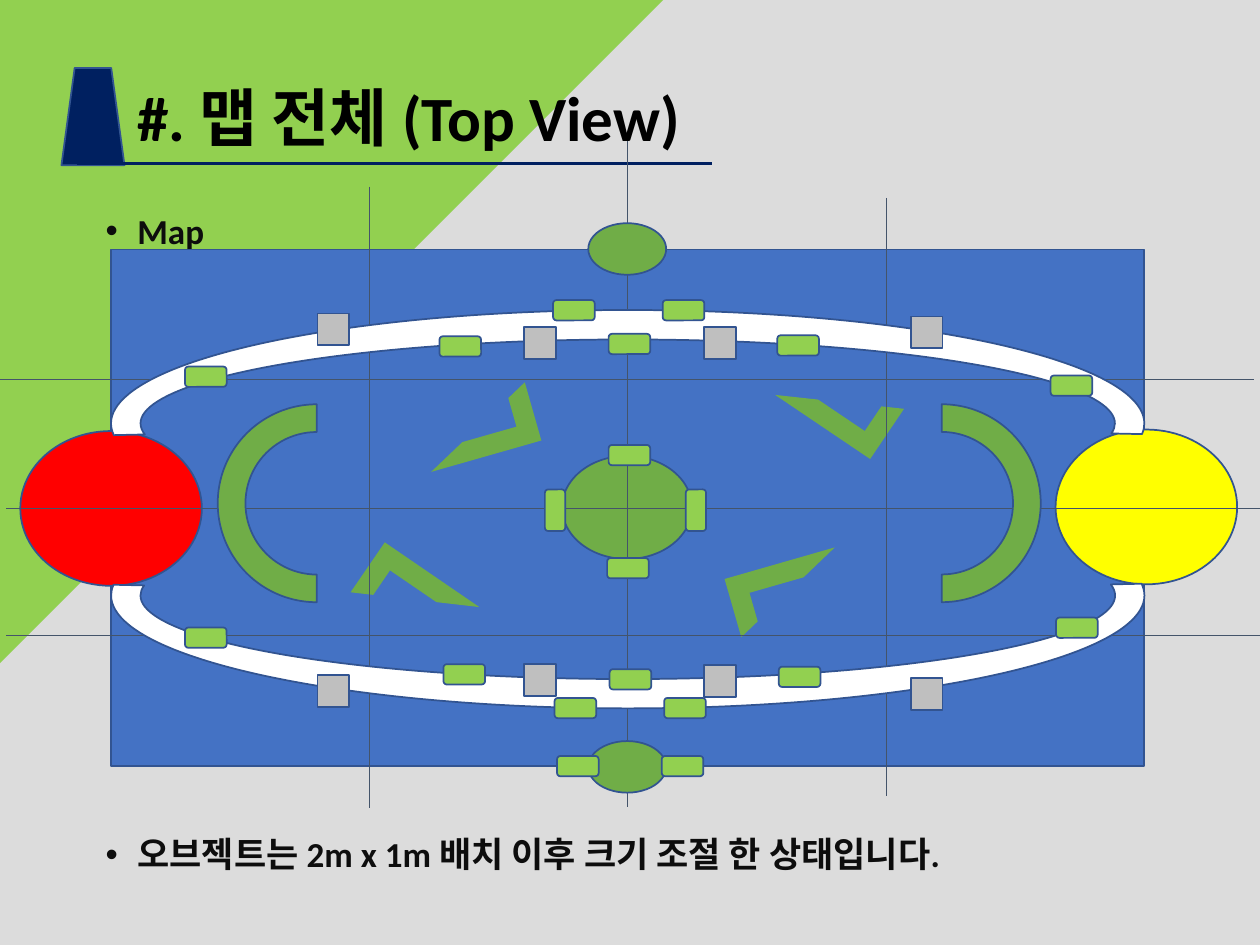
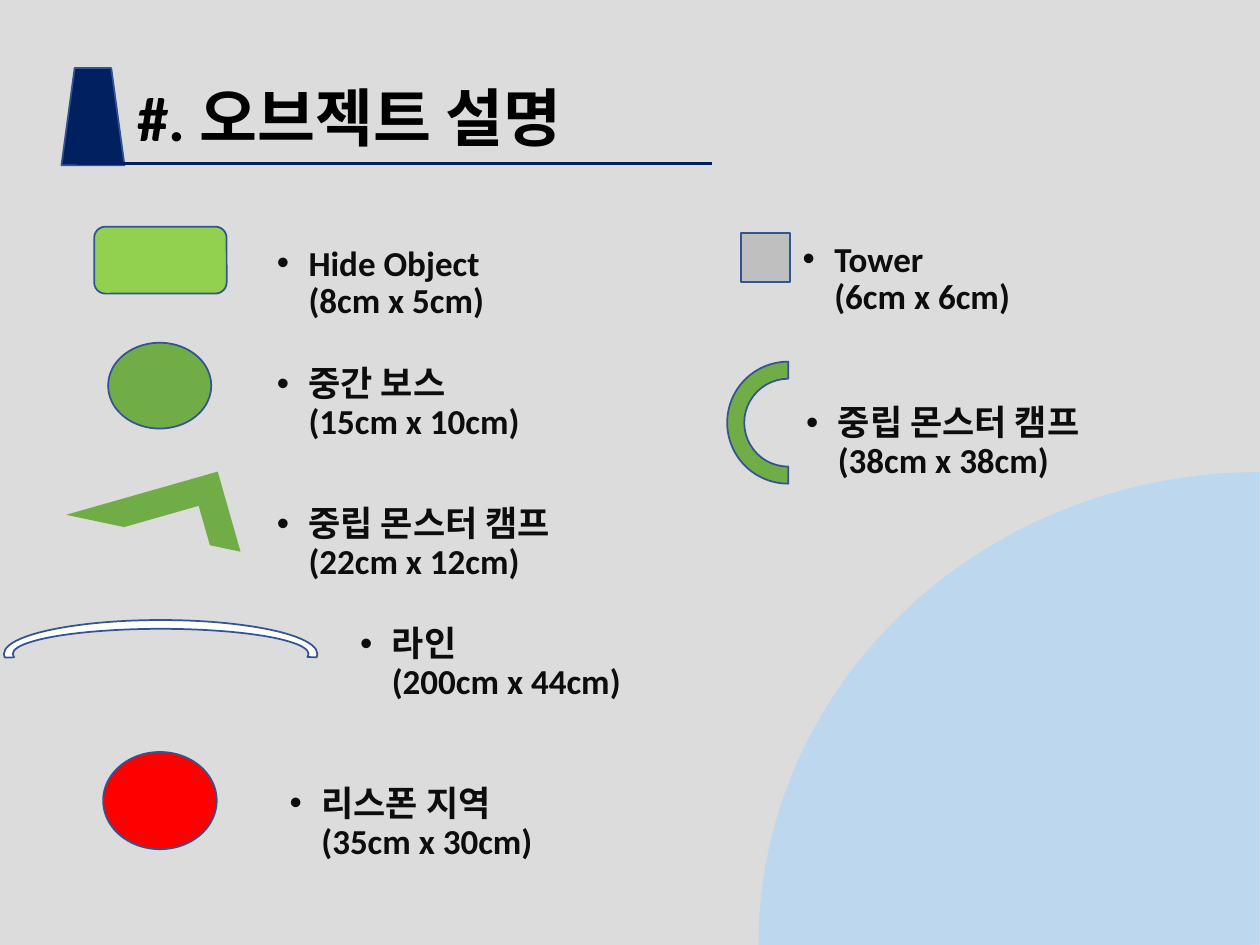
from lxml import etree
from pptx import Presentation
from pptx.dml.color import RGBColor
from pptx.enum import shapes, text
from pptx.oxml.ns import qn
from pptx.util import Cm, Pt

colour = RGBColor.from_string
KIND = shapes.MSO_SHAPE

NAVY = "002060"
OUTLINE = "325491"
GRID = "44546A"
LIME = "92D050"
GREEN = "70AD47"

# Each map object: preset, fill, outlined, adjustments (angles in 1/100000 units)
HIDE = (KIND.ROUNDED_RECTANGLE, LIME, True, ())
BOSS = (KIND.OVAL, GREEN, True, ())
CORNER_CAMP = (KIND.HALF_FRAME, GREEN, False, ())
ARC_CAMP = (KIND.BLOCK_ARC, GREEN, True, (108, 0, 0.14))
LANE = (KIND.BLOCK_ARC, "FFFFFF", True, (107.21, 0.72, 0.13))
TOWER = (KIND.RECTANGLE, "BFBFBF", True, ())
RED_BASE = (KIND.OVAL, "FF0000", True, ())
YELLOW_BASE = (KIND.OVAL, "FFFF00", True, ())
ARENA = (KIND.RECTANGLE, "4472C4", True, ())
MARKER = (KIND.TRAPEZOID, NAVY, True, (0.21,))
GREEN_CORNER = (KIND.ISOSCELES_TRIANGLE, LIME, False, ())
BLUE_CORNER = (KIND.PIE, "BDD7EE", False, (107.83, 162))


def draw(page, style, left, top, width, height, angle=0):
    """Add a shape in one of the object styles, lengths in centimetres."""
    kind, fill, outlined, adjustments = style
    shape = page.shapes.add_shape(kind, Cm(left), Cm(top), Cm(width), Cm(height))
    shape.rotation = angle
    shape.shadow.inherit = False
    shape.fill.solid()
    shape.fill.fore_color.rgb = colour(fill)
    if outlined:
        shape.line.color.rgb = colour(OUTLINE)
        shape.line.width = Pt(1)
    else:
        shape.line.fill.background()
    for index, value in enumerate(adjustments):
        shape.adjustments[index] = value
    return shape


def draw_line(page, x1, y1, x2, y2, stroke, weight):
    line = page.shapes.add_connector(
        shapes.MSO_CONNECTOR.STRAIGHT, Cm(x1), Cm(y1), Cm(x2), Cm(y2))
    line.line.color.rgb = colour(stroke)
    line.line.width = Pt(weight)
    etree.SubElement(line.element.spPr, qn("a:effectLst"))


deck = Presentation()
deck.slide_width = Cm(25.4)
deck.slide_height = Cm(19.05)

# Shared frame: background, corner, title with marker and underline
pages = []
for heading, corner, place in (
    ("#. 맵 전체 (Top View)", GREEN_CORNER, (-6.2, -1.42, 19, 9.52, 315)),
    ("#. 오브젝트 설명", BLUE_CORNER, (15.29, 9.52, 20.19, 19.05)),
):
    page = deck.slides.add_slide(deck.slide_layouts[5])
    pages.append(page)
    page.background.fill.solid()
    page.background.fill.fore_color.rgb = colour("DCDCDC")
    draw(page, corner, *place)
    draw(page, MARKER, 1.24, 1.37, 1.27, 1.96)
    draw_line(page, 1.55, 3.3, 14.35, 3.3, NAVY, 2)

    title = page.shapes.title
    title.element.getparent().append(title.element)  # in front of the corner
    title.left, title.top = Cm(2.51), Cm(1.45)
    title.width, title.height = Cm(21.13), Cm(1.8)
    frame = title.text_frame
    frame.text = heading
    frame.auto_size = text.MSO_AUTO_SIZE.NONE
    frame.vertical_anchor = text.MSO_ANCHOR.MIDDLE
    para = frame.paragraphs[0]
    para.alignment = text.PP_ALIGN.LEFT
    para.font.name = "Calibri"
    para.font.size = Pt(36)
    para.font.bold = True
    para.font.color.rgb = colour("000000")

map_page, legend_page = pages

# Bulleted labels; \v is a line break
for page, left, top, width, label in (
    (map_page, 1.88, 4.19, 4.32, "Map"),
    (map_page, 1.88, 16.76, 18.49, "오브젝트는 2m x 1m 배치 이후 크기 조절 한 상태입니다."),
    (legend_page, 5.33, 4.83, 6.63, "Hide Object\v(8cm x 5cm)"),
    (legend_page, 5.33, 7.26, 6.63, "중간 보스\v(15cm x 10cm)"),
    (legend_page, 5.33, 10.08, 6.63, "중립 몬스터 캠프\v(22cm x 12cm)"),
    (legend_page, 7.01, 12.5, 6.63, "라인\v(200cm x 44cm)"),
    (legend_page, 5.59, 15.72, 6.63, "리스폰 지역\v(35cm x 30cm)"),
    (legend_page, 15.93, 4.75, 6.63, "Tower\v(6cm x 6cm)"),
    (legend_page, 16, 8.05, 6.63, "중립 몬스터 캠프\v(38cm x 38cm)"),
):
    box = page.shapes.add_textbox(Cm(left), Cm(top), Cm(width), Cm(1.02))
    box.text_frame.word_wrap = True
    para = box.text_frame.paragraphs[0]
    para.text = label
    para.line_spacing = 0.9
    props = para._p.get_or_add_pPr()
    props.set("marL", str(Cm(0.64)))
    props.set("indent", str(-Cm(0.64)))
    etree.SubElement(props, qn("a:buFont"), typeface="Arial")
    etree.SubElement(props, qn("a:buChar"), char="•")
    para.font.name = "Calibri"
    para.font.size = Pt(20)
    para.font.bold = True
    para.font.color.rgb = colour("0D0D0D")

# Map: arena, bases, centre boss and corner camps
draw(map_page, ARENA, 2.24, 5.03, 20.83, 10.41)
draw(map_page, RED_BASE, 0.41, 8.69, 3.66, 3.12)
draw(map_page, YELLOW_BASE, 21.28, 8.66, 3.66, 3.12)
draw(map_page, BOSS, 11.33, 9.19, 2.62, 2.08)
for left, top, angle in ((8.48, 8, 164.1), (7.21, 11.48, 34.4),
                         (14.73, 11.33, 344), (15.77, 7.49, 214)):
    draw(map_page, CORNER_CAMP, left, top, 2.31, 1.22, angle)

# Map: guide lines
for x, top, bottom in ((12.65, 2.84, 16.26), (7.44, 3.76, 16.28), (17.86, 3.99, 16.05)):
    draw_line(map_page, x, top, x, bottom, GRID, 0.5)
for y, left, right in ((10.24, 0.13, 25.4), (7.65, 0, 25.27), (12.8, 0.13, 25.4)):
    draw_line(map_page, left, y, right, y, GRID, 0.5)

# Map: outer bosses, lanes, towers and arc camps
for top in (4.5, 14.94):
    draw(map_page, BOSS, 11.86, top, 1.57, 1.04)
draw(map_page, LANE, 2.24, 6.25, 20.83, 4.57)
draw(map_page, LANE, 2.24, 9.73, 20.83, 4.55, 180)
for left, upper, lower in ((6.4, 6.32, 13.61), (10.57, 6.6, 13.39),
                           (14.2, 6.6, 13.41), (18.36, 6.38, 13.67)):
    for top in (upper, lower):
        draw(map_page, TOWER, left, top, 0.64, 0.64)
for left, angle in ((16.99, 90), (4.39, 270)):
    draw(map_page, ARC_CAMP, left, 8.15, 3.99, 3.99, angle)

# Map: hide objects, upright beside the centre boss and flat elsewhere
for left in (10.77, 13.61):
    draw(map_page, HIDE, left, 10.08, 0.84, 0.41, 270)
for left, top in (
    (11.15, 6.05), (13.36, 6.05), (3.73, 7.39), (8.86, 6.78),
    (12.27, 6.73), (15.67, 6.76), (21.18, 7.57),
    (12.27, 8.97), (12.24, 11.25),
    (3.73, 12.65), (8.94, 13.39), (12.29, 13.49), (15.7, 13.44), (21.29, 12.45),
    (11.18, 14.07), (13.39, 14.07), (11.23, 15.24), (13.34, 15.24),
):
    draw(map_page, HIDE, left, top, 0.84, 0.41)

# Legend
draw(legend_page, HIDE, 1.9, 4.57, 2.67, 1.35)
draw(legend_page, BOSS, 2.18, 6.91, 2.08, 1.73)
camp = draw(legend_page, CORNER_CAMP, 1.5, 9.91, 3.18, 1.68, 164.1)
camp.element.spPr.find(qn("a:xfrm")).set("flipV", "1")
draw(legend_page, LANE, 0.08, 12.5, 6.32, 1.37)
draw(legend_page, RED_BASE, 2.08, 15.16, 2.29, 1.96)
draw(legend_page, TOWER, 14.94, 4.7, 0.99, 0.99)
draw(legend_page, ARC_CAMP, 14.66, 7.29, 2.46, 2.46, 270)

deck.save("out.pptx")
